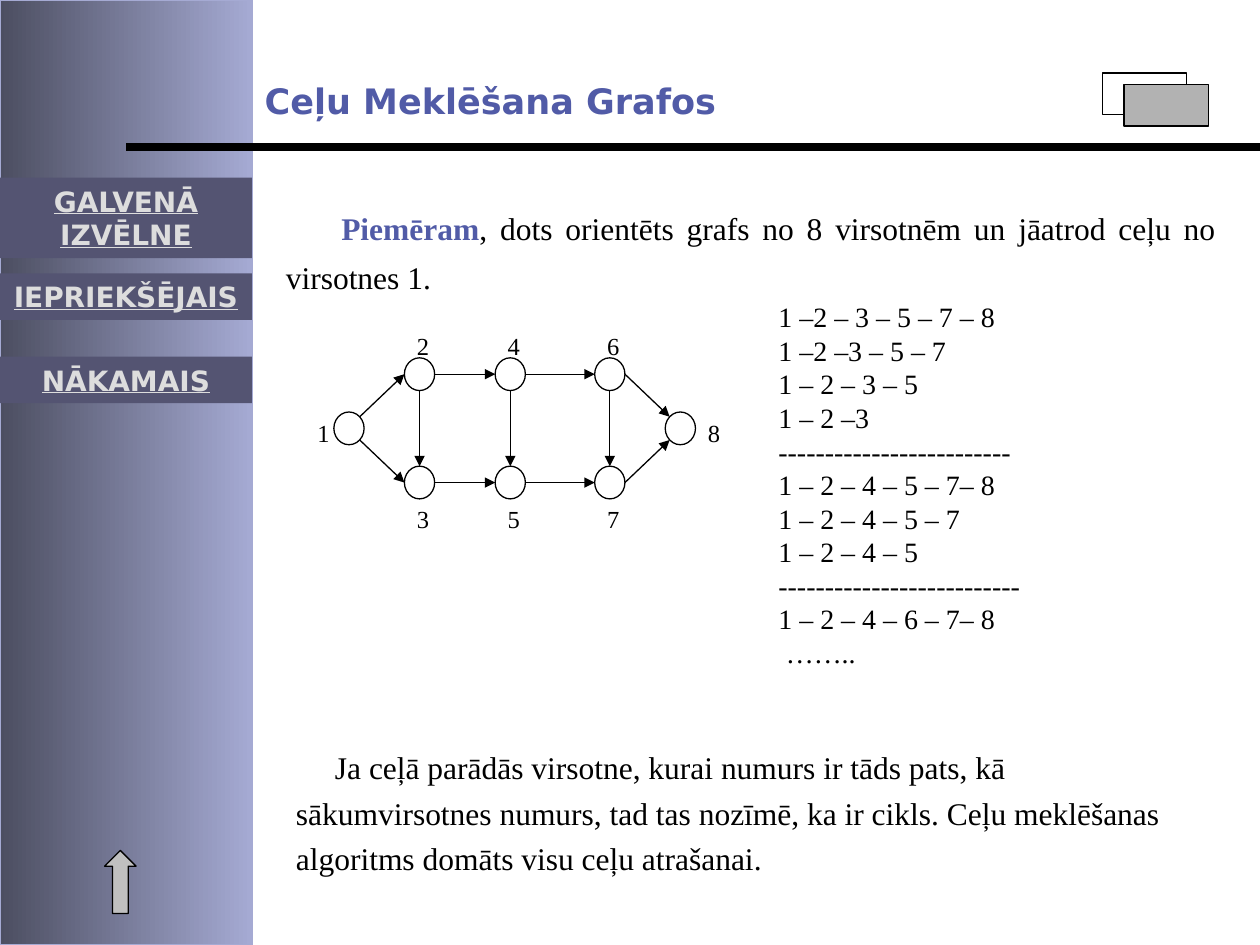
from lxml import etree
from pptx import Presentation
from pptx.dml.color import RGBColor
from pptx.enum.shapes import MSO_CONNECTOR, MSO_SHAPE
from pptx.enum.text import MSO_ANCHOR, MSO_AUTO_SIZE, PP_ALIGN
from pptx.oxml.ns import qn
from pptx.util import Inches, Pt

RECT, UP_ARROW = MSO_SHAPE.RECTANGLE, MSO_SHAPE.UP_ARROW
CIRCLE = MSO_SHAPE.FLOWCHART_CONNECTOR
STRAIGHT = MSO_CONNECTOR.STRAIGHT
TOP, MIDDLE = MSO_ANCHOR.TOP, MSO_ANCHOR.MIDDLE
LEFT, CENTER, JUSTIFY = PP_ALIGN.LEFT, PP_ALIGN.CENTER, PP_ALIGN.JUSTIFY

BLACK = RGBColor(0x00, 0x00, 0x00)
WHITE = RGBColor(0xFF, 0xFF, 0xFF)
ACCENT = RGBColor(0x51, 0x5B, 0xA7)
SIDEBAR_DARK = RGBColor(0x4C, 0x4E, 0x61)
SIDEBAR_LIGHT = RGBColor(0xA5, 0xAA, 0xD3)
BUTTON = RGBColor(0x54, 0x54, 0x72)
BUTTON_TEXT = RGBColor(0xDD, 0xDD, 0xDD)
GRAY = RGBColor(0xB2, 0xB2, 0xB2)
ARROW_GRAY = RGBColor(0xC0, 0xC0, 0xC0)
SANS, SERIF = "DejaVu Sans", "Times New Roman"

# Graph: top-left corner of each vertex and offset of its label
NODE_W, NODE_H = 0.24, 0.26
ROW_TOP, ROW_MID, ROW_LOW = 2.84, 3.27, 3.7
ABOVE, BELOW = (0, -0.26), (0, 0.25)
NODES = {
    1: (2.65, ROW_MID, (-0.23, 0)),
    8: (5.28, ROW_MID, (0.24, 0)),
}
for column, column_x in enumerate((3.21, 3.93, 4.72)):
    NODES[2 + 2 * column] = (column_x, ROW_TOP, ABOVE)
    NODES[3 + 2 * column] = (column_x, ROW_LOW, BELOW)

# Points on a vertex outline, in radii from its centre
DIAGONAL = 0.71
SITES = {
    "n": (0, -1), "s": (0, 1), "w": (-1, 0), "e": (1, 0),
    "nw": (-DIAGONAL, -DIAGONAL), "ne": (DIAGONAL, -DIAGONAL),
    "sw": (-DIAGONAL, DIAGONAL), "se": (DIAGONAL, DIAGONAL),
}
EDGES = [
    (1, "ne", 2, "w"), (2, "e", 4, "w"), (4, "e", 6, "w"), (6, "e", 8, "nw"),
    (1, "se", 3, "w"), (3, "e", 5, "w"), (5, "e", 7, "w"), (7, "e", 8, "sw"),
    (2, "s", 3, "n"), (4, "s", 5, "n"), (6, "s", 7, "n"),
]

BUTTONS = [
    ("GALVENĀ IZVĒLNE", 1.41, 0.64, 0.1),
    ("IEPRIEKŠĒJAIS", 2.17, 0.37, 0),
    ("NĀKAMAIS", 2.83, 0.37, 0.1),
]
PATHS = [
    "1 –2 – 3 – 5 – 7 – 8",
    "1 –2 –3 – 5 – 7",
    "1 – 2 – 3 – 5",
    "1 – 2 –3",
    "-" * 25,
    "1 – 2 – 4 – 5 – 7– 8",
    "1 – 2 – 4 – 5 – 7",
    "1 – 2 – 4 – 5",
    "-" * 26,
    "1 – 2 – 4 – 6 – 7– 8",
    "……..",
]
EXAMPLE_WORD = "Piemēram"
EXAMPLE_REST = ", dots orientēts grafs no 8 virsotnēm un jāatrod ceļu no virsotnes 1."
CONCLUSION = (
    "Ja ceļā parādās virsotne, kurai numurs ir tāds pats, kā sākumvirsotnes "
    "numurs, tad tas nozīmē, ka ir cikls. Ceļu meklēšanas algoritms domāts "
    "visu ceļu atrašanai."
)


def add_box(shapes, kind, x, y, w, h, fill=None, line=None):
    box = shapes.add_shape(kind, Inches(x), Inches(y), Inches(w), Inches(h))
    box.shadow.inherit = False
    if fill is not None:
        box.fill.solid()
        box.fill.fore_color.rgb = fill
    if line is None:
        box.line.fill.background()
    else:
        box.line.color.rgb = line
        box.line.width = Pt(0.75)
    return box


def add_line(shapes, start, end, width=0.75, arrow=False):
    line = shapes.add_connector(STRAIGHT, *(Inches(v) for v in (*start, *end)))
    line.line.color.rgb = BLACK
    line.line.width = Pt(width)
    if arrow:
        etree.SubElement(line.line._get_or_add_ln(), qn("a:tailEnd"), type="triangle")
    etree.SubElement(line._element.spPr, qn("a:effectLst"))


def write(shape, paragraphs, size, font=SERIF, color=BLACK, bold=False,
          underline=False, align=LEFT, anchor=TOP, side=0.1, spacing=None):
    """Fill a shape with paragraphs, each a list of run texts."""
    frame = shape.text_frame
    frame.word_wrap = True
    frame.auto_size = MSO_AUTO_SIZE.NONE
    frame.vertical_anchor = anchor
    frame.margin_left = frame.margin_right = Inches(side)
    frame.margin_top = frame.margin_bottom = Inches(0.05)
    frame.text = "\n".join(paragraphs)
    for paragraph in frame.paragraphs:
        paragraph.alignment = align
        paragraph.space_before = Pt(0)
        if spacing:
            paragraph.line_spacing = spacing
        for run in paragraph.runs:
            style(run, size, font, color, bold, underline)
    return frame


def style(run, size, font, color, bold=False, underline=False):
    run.font.size = Pt(size)
    run.font.name = font
    run.font.color.rgb = color
    run.font.bold = bold
    run.font.underline = underline


def add_text(shapes, x, y, w, h, paragraphs, size, **options):
    box = shapes.add_textbox(Inches(x), Inches(y), Inches(w), Inches(h))
    return write(box, paragraphs, size, **options)


def indent_first_line(paragraph, inches):
    properties = paragraph._p.get_or_add_pPr()
    properties.set("marL", "0")
    properties.set("indent", str(Inches(inches)))


def site_point(node, site):
    x, y, _ = NODES[node]
    dx, dy = SITES[site]
    return x + NODE_W / 2 * (1 + dx), y + NODE_H / 2 * (1 + dy)


def add_graph(shapes):
    for number, (x, y, (dx, dy)) in NODES.items():
        add_box(shapes, CIRCLE, x, y, NODE_W, NODE_H, WHITE, BLACK)
        add_text(shapes, x + dx, y + dy, 0.32, 0.34, [str(number)], 14)
    for start, start_site, end, end_site in EDGES:
        add_line(shapes, site_point(start, start_site), site_point(end, end_site), arrow=True)


def add_frame(shapes):
    # Sidebar, rule, corner ornament and up arrow
    sidebar = add_box(shapes, RECT, 0, 0, 2, 7.5, line=SIDEBAR_LIGHT)
    sidebar.fill.gradient()
    sidebar.fill.gradient_angle = 0
    for stop, color in zip(sidebar.fill.gradient_stops, (SIDEBAR_DARK, SIDEBAR_LIGHT)):
        stop.color.rgb = color
    add_line(shapes, (10, 1.17), (1, 1.17), width=4.5)
    ornament = shapes.add_group_shape().shapes
    add_box(ornament, RECT, 8.75, 0.58, 0.67, 0.33, WHITE, BLACK)
    add_box(ornament, RECT, 8.92, 0.67, 0.67, 0.33, GRAY, BLACK)
    add_box(shapes, UP_ARROW, 0.83, 6.75, 0.25, 0.5, ARROW_GRAY, BLACK)


def main():
    deck = Presentation()
    deck.slide_width, deck.slide_height = Inches(10), Inches(7.5)
    slide = deck.slides.add_slide(deck.slide_layouts[5])
    shapes = slide.shapes
    add_frame(shapes)

    # Title
    title = shapes.title
    title.left, title.top = Inches(2), Inches(0.58)
    title.width, title.height = Inches(4), Inches(0.44)
    write(title, ["Ceļu Meklēšana Grafos"], 20, font=SANS, color=ACCENT, bold=True)

    # Example statement
    example = add_text(shapes, 2.17, 1.52, 7.58, 0.9, [EXAMPLE_WORD], 18,
                       color=ACCENT, bold=True, align=JUSTIFY, spacing=1.3).paragraphs[0]
    rest = example.add_run()
    rest.text = EXAMPLE_REST
    style(rest, 18, SERIF, BLACK)
    indent_first_line(example, 0.44)

    add_graph(shapes)

    # Found paths
    path_list = add_box(shapes, RECT, 6.08, 2.33, 2.5, 3.33, WHITE)
    indent_first_line(write(path_list, PATHS, 16).paragraphs[-1], 0.06)

    # Conclusion
    conclusion = add_text(shapes, 2.25, 5.83, 7.08, 1.18, [CONCLUSION], 18, spacing=1.2)
    indent_first_line(conclusion.paragraphs[0], 0.31)

    # Navigation buttons
    for label, y, height, side in BUTTONS:
        button = add_box(shapes, RECT, 0, y, 2, height, BUTTON)
        write(button, [label], 16, font=SANS, color=BUTTON_TEXT, bold=True,
              underline=True, align=CENTER, anchor=MIDDLE, side=side)

    deck.save("out.pptx")


if __name__ == "__main__":
    main()
